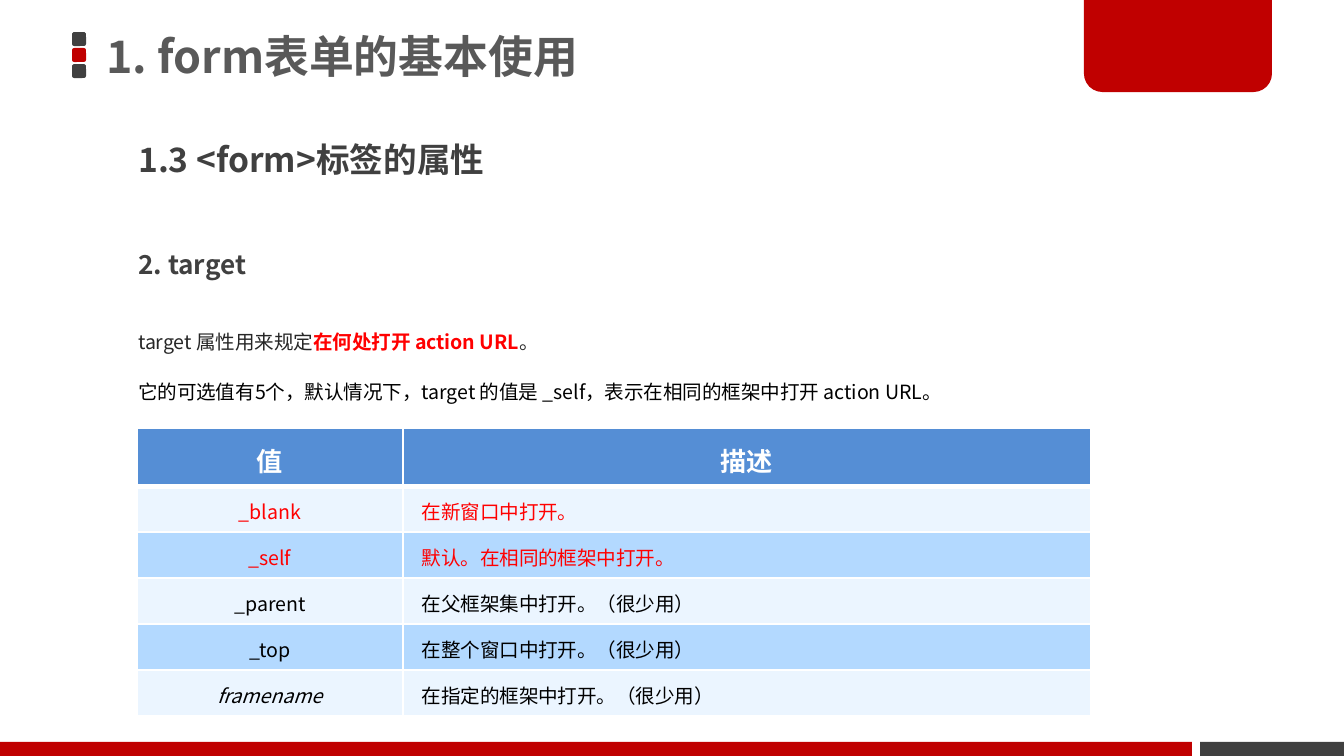
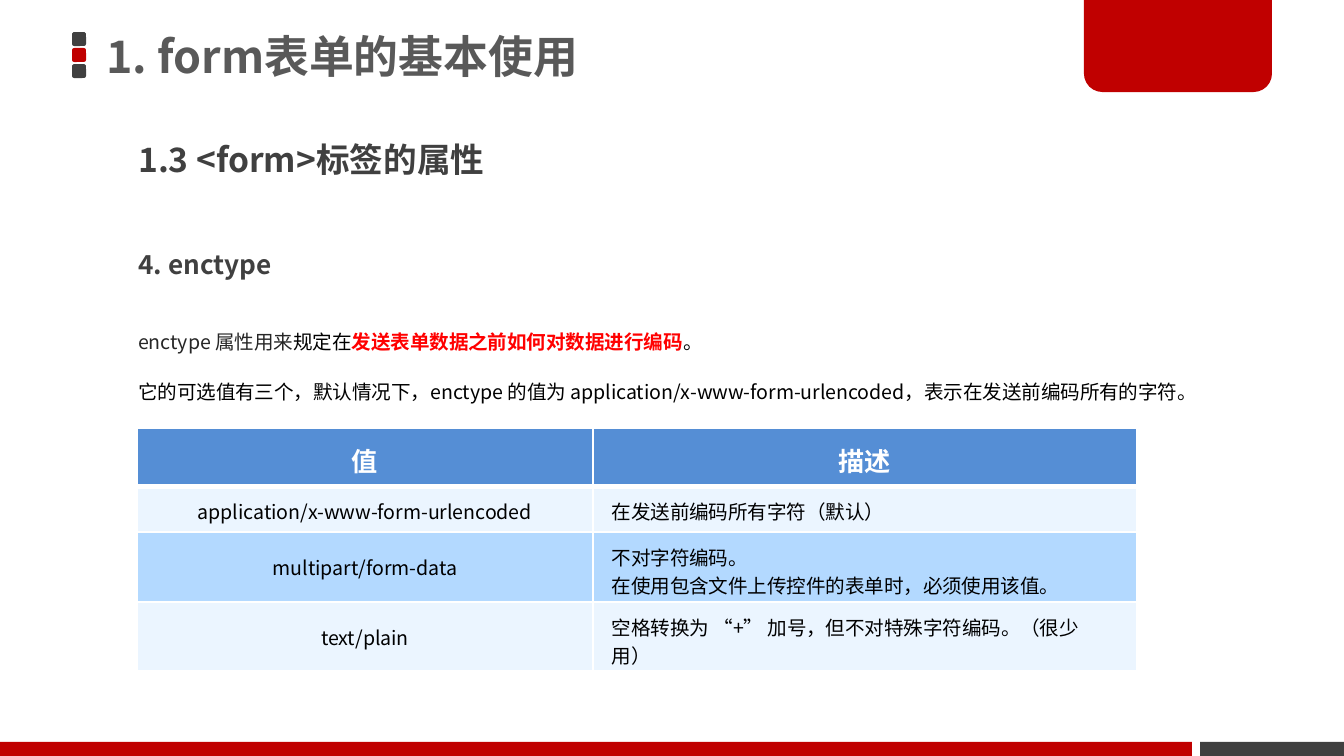
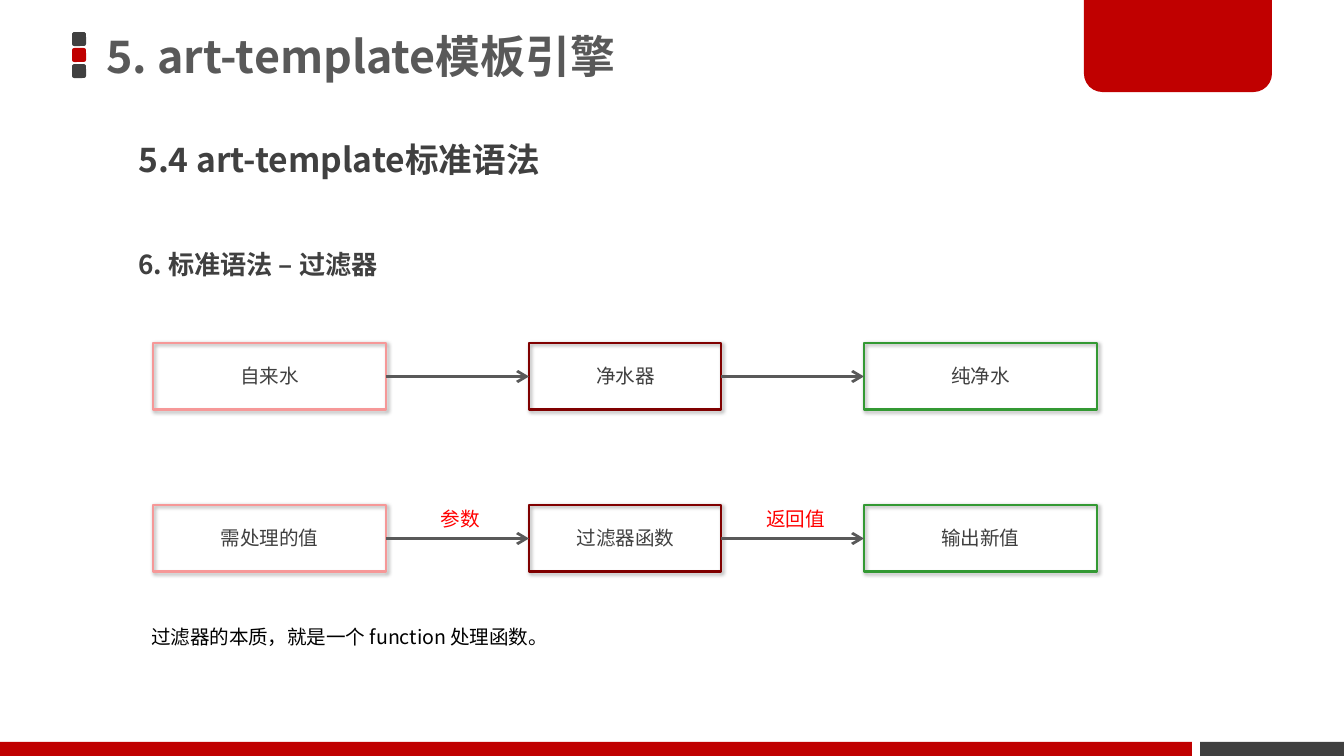
from dataclasses import dataclass
from typing import Any

from lxml import etree
from pptx import Presentation
from pptx import util as u
from pptx.dml.color import RGBColor
from pptx.enum import shapes, text
from pptx.oxml.ns import qn

SLIDE_WIDTH, SLIDE_HEIGHT = 1344, 756
EMU_PER_PX = u.Inches(10) / SLIDE_WIDTH
FONT = "Noto Sans CJK SC"
BODY_SIZE = 10.5
COLORS = {
    "brand": "C00000", "dark": "404040", "title": "595959", "body": "262626",
    "black": "000000", "white": "FFFFFF", "accent": "FF0000",
    "header": "558ED5", "light_row": "EBF5FF", "dark_row": "B3D9FF",
    "input": "F69898", "filter": "800000", "output": "339933",
}


@dataclass(frozen=True)
class Box:
    left: int
    top: int
    width: int
    height: int

    def emu(self) -> list[u.Emu]:
        return [px(side) for side in (self.left, self.top, self.width, self.height)]


@dataclass(frozen=True)
class Style:
    size: float = BODY_SIZE
    color: str = "black"
    bold: bool = False
    italic: bool = False


@dataclass(frozen=True)
class Span:
    words: str
    style: Style = Style()


@dataclass(frozen=True)
class TableRow:
    value: str
    description: str
    color: str = "black"
    italic: bool = False
    height: int = 46


@dataclass(frozen=True)
class FlowStep:
    left: int
    width: int
    color: str


TITLE = Style(24, "title", True)
SECTION = Style(18, "dark", True)
TOPIC = Style(14, "dark", True)
TABLE_HEADER = Style(14, "white", True)
INTRO = Style(color="body")
KEY = Style(color="accent", bold=True)

FLOW_STEPS = [
    FlowStep(153, 233, "input"),
    FlowStep(529, 192, "filter"),
    FlowStep(864, 233, "output"),
]
FLOW_HEIGHT = 67


def px(length: float) -> u.Emu:
    return u.Emu(round(length * EMU_PER_PX))


def rgb(name: str) -> RGBColor:
    return RGBColor.from_string(COLORS[name])


def format_run(run: Any, style: Style) -> None:
    font = run.font
    font.name, font.size = FONT, u.Pt(style.size)
    font.bold, font.italic = style.bold, style.italic
    font.color.rgb = rgb(style.color)
    east_asian = etree.SubElement(run.font._element, qn("a:ea"))
    east_asian.set("typeface", FONT)


def format_frame(frame: Any, style: Style) -> None:
    for paragraph in frame.paragraphs:
        for run in paragraph.runs:
            format_run(run, style)


def add_block(slide: Any, box: Box, paragraphs: list[list[Span]],
              line_spacing: float, space_before: float = 7.5) -> Any:
    frame = slide.shapes.add_textbox(*box.emu()).text_frame
    frame.word_wrap = True
    for index, spans in enumerate(paragraphs):
        paragraph = frame.add_paragraph() if index else frame.paragraphs[0]
        paragraph.line_spacing = line_spacing
        paragraph.space_before = u.Pt(space_before)
        for span in spans:
            run = paragraph.add_run()
            run.text = span.words
            format_run(run, span.style)
    return frame


def add_label(slide: Any, words: str, center_x: int, center_y: int, color: str) -> None:
    width, height = 27 + 20 * len(words), 38
    box = Box(center_x - width // 2, center_y - height // 2, width, height)
    frame = slide.shapes.add_textbox(*box.emu()).text_frame
    frame.text = words
    frame.word_wrap = False
    frame.auto_size = text.MSO_AUTO_SIZE.SHAPE_TO_FIT_TEXT
    frame.paragraphs[0].alignment = text.PP_ALIGN.CENTER
    format_frame(frame, Style(color=color))


def add_solid(slide: Any, kind: shapes.MSO_SHAPE, box: Box, color: str) -> Any:
    shape = slide.shapes.add_shape(kind, *box.emu())
    shape.shadow.inherit = False
    shape.fill.solid()
    shape.fill.fore_color.rgb = rgb(color)
    shape.line.fill.background()
    return shape


def add_slide(presentation: Any, title: str, section: str, topic: str) -> Any:
    slide = presentation.slides.add_slide(presentation.slide_layouts[6])
    # Title marker
    for index, color in enumerate(("dark", "brand", "dark")):
        add_solid(slide, shapes.MSO_SHAPE.ROUNDED_RECTANGLE,
                  Box(72, 32 + 16 * index, 14, 14), color)
    # Footer bands
    for left, right, color in ((1200, SLIDE_WIDTH, "dark"), (0, 1192, "brand")):
        add_solid(slide, shapes.MSO_SHAPE.RECTANGLE,
                  Box(left, 742, right - left, SLIDE_HEIGHT - 742), color)
    # Corner tab, rounded at the bottom only
    tab = add_solid(slide, shapes.MSO_SHAPE.ROUND_2_SAME_RECTANGLE,
                    Box(1084, 0, 188, 92), "brand")
    tab.adjustments[0], tab.adjustments[1] = 0, 0.2
    # Headings
    heading = add_block(slide, Box(93, 0, 990, 117), [[Span(title, TITLE)]], 0.9, 0)
    heading.vertical_anchor = text.MSO_ANCHOR.MIDDLE
    add_block(slide, Box(125, 137, 958, 79), [[Span(section, SECTION)]], 0.9)
    add_block(slide, Box(125, 245, 954, 42), [[Span(topic, TOPIC)]], 0.9)
    return slide


def set_borders(cell: Any, top: int, bottom: int) -> None:
    properties = cell._tc.get_or_add_tcPr()
    for side, points in (("L", 1), ("R", 1), ("T", top), ("B", bottom)):
        line = etree.SubElement(properties, qn(f"a:ln{side}"), w=str(u.Pt(points)))
        fill = etree.SubElement(line, qn("a:solidFill"))
        etree.SubElement(fill, qn("a:srgbClr"), val=COLORS["white"])


def fill_cell(cell: Any, words: str, style: Style, fill: str, centered: bool) -> None:
    cell.text_frame.text = words
    format_frame(cell.text_frame, style)
    for paragraph in cell.text_frame.paragraphs:
        paragraph.alignment = text.PP_ALIGN.CENTER if centered else text.PP_ALIGN.LEFT
    cell.fill.solid()
    cell.fill.fore_color.rgb = rgb(fill)


def add_value_table(slide: Any, column_widths: tuple[int, int], rows: list[TableRow]) -> None:
    heights = [52] + [row.height for row in rows]
    box = Box(137, 428, sum(column_widths), sum(heights))
    table = slide.shapes.add_table(len(heights), 2, *box.emu()).table
    table.horz_banding = False
    for column, width in zip(table.columns, column_widths):
        column.width = px(width)
    for table_row, height in zip(table.rows, heights):
        table_row.height = px(height)
    # Header row
    for column, words in enumerate(("值", "描述")):
        cell = table.cell(0, column)
        set_borders(cell, 1, 3)
        fill_cell(cell, words, TABLE_HEADER, "header", True)
        cell.text_frame.paragraphs[0].line_spacing = u.Pt(24)
    # Value rows
    for index, row in enumerate(rows, 1):
        fill = "light_row" if index % 2 else "dark_row"
        for column, words in enumerate((row.value, row.description)):
            cell = table.cell(index, column)
            set_borders(cell, 3 if index == 1 else 1, 1)
            is_value = column == 0
            style = Style(color=row.color, italic=row.italic and is_value)
            fill_cell(cell, words, style, fill, is_value)
            cell.vertical_anchor = text.MSO_ANCHOR.MIDDLE
            cell.margin_left = cell.margin_right = u.Inches(0.14)
            cell.margin_top = cell.margin_bottom = u.Inches(0.08)


def add_flow_box(slide: Any, step: FlowStep, top: int, words: str) -> Any:
    box = Box(step.left, top, step.width, FLOW_HEIGHT)
    shape = slide.shapes.add_shape(shapes.MSO_SHAPE.RECTANGLE, *box.emu())
    shape.fill.background()
    shape.line.color.rgb = rgb(step.color)
    shape.line.width = u.Pt(1.5)
    # Soft shadow towards the lower right
    shape.shadow.inherit = False
    effects = shape.element.spPr.find(qn("a:effectLst"))
    shadow = etree.SubElement(effects, qn("a:outerShdw"), blurRad=str(u.Pt(2)),
                              dist=str(u.Pt(1)), dir="2700000", algn="tl", rotWithShape="0")
    color = etree.SubElement(shadow, qn("a:srgbClr"), val=COLORS["black"])
    etree.SubElement(color, qn("a:alpha"), val="30000")
    add_label(slide, words, step.left + step.width // 2, top + FLOW_HEIGHT // 2, "dark")
    return shape


def add_arrow(slide: Any, source: Any, target: Any) -> None:
    arrow = slide.shapes.add_connector(shapes.MSO_CONNECTOR.STRAIGHT, 0, 0, 0, 0)
    arrow.begin_connect(source, 3)
    arrow.end_connect(target, 1)
    arrow.line.color.rgb = rgb("title")
    arrow.line.width = u.Pt(1.5)
    properties = arrow.element.spPr
    etree.SubElement(properties.find(qn("a:ln")), qn("a:tailEnd"), type="arrow")
    etree.SubElement(properties, qn("a:effectLst"))


def add_flow(slide: Any, top: int, names: list[str], arrow_labels: list[str]) -> None:
    boxes = [add_flow_box(slide, step, top, name) for step, name in zip(FLOW_STEPS, names)]
    for source, target in zip(boxes, boxes[1:]):
        add_arrow(slide, source, target)
    for step, following, words in zip(FLOW_STEPS, FLOW_STEPS[1:], arrow_labels):
        center = (step.left + step.width + following.left) // 2 + 3
        add_label(slide, words, center, top + 14, "accent")


def build_target_slide(presentation: Any) -> None:
    slide = add_slide(presentation, "1. form表单的基本使用", "1.3 <form>标签的属性", "2. target")
    add_block(slide, Box(125, 312, 1068, 423), [
        [Span("target 属性用来规定", INTRO), Span("在何处打开 action URL", KEY), Span("。", INTRO)],
        [Span("它的可选值有5个，默认情况下，target 的值是 _self，表示在相同的框架中打开 action URL。")],
    ], 1.5)
    add_value_table(slide, (266, 688), [
        TableRow("_blank", "在新窗口中打开。", "accent"),
        TableRow("_self", "默认。在相同的框架中打开。", "accent"),
        TableRow("_parent", "在父框架集中打开。（很少用）"),
        TableRow("_top", "在整个窗口中打开。（很少用）"),
        TableRow("framename", "在指定的框架中打开。（很少用）", italic=True),
    ])


def build_enctype_slide(presentation: Any) -> None:
    slide = add_slide(presentation, "1. form表单的基本使用", "1.3 <form>标签的属性", "4. enctype")
    add_block(slide, Box(125, 312, 1105, 423), [
        [Span("enctype 属性用来", INTRO), Span("规定在"),
         Span("发送表单数据之前如何对数据进行编码", KEY), Span("。")],
        [Span("它的可选值有三个，默认情况下，enctype 的值为 application/x-www-form-urlencoded，"
              "表示在发送前编码所有的字符。")],
    ], 1.5)
    add_value_table(slide, (456, 544), [
        TableRow("application/x-www-form-urlencoded", "在发送前编码所有字符（默认）"),
        TableRow("multipart/form-data",
                 "不对字符编码。\n在使用包含文件上传控件的表单时，必须使用该值。", height=70),
        TableRow("text/plain", "空格转换为 “+” 加号，但不对特殊字符编码。（很少用）"),
    ])


def build_filter_slide(presentation: Any) -> None:
    slide = add_slide(presentation, "5. art-template模板引擎", "5.4 art-template标准语法",
                      "6. 标准语法 – 过滤器")
    add_flow(slide, 343, ["自来水", "净水器", "纯净水"], [])
    add_flow(slide, 505, ["需处理的值", "过滤器函数", "输出新值"], ["参数", "返回值"])
    add_block(slide, Box(138, 607, 958, 99),
              [[Span("过滤器的本质，就是一个 function 处理函数。")]], 1.5)


def main() -> None:
    presentation = Presentation()
    presentation.slide_width, presentation.slide_height = px(SLIDE_WIDTH), px(SLIDE_HEIGHT)
    build_target_slide(presentation)
    build_enctype_slide(presentation)
    build_filter_slide(presentation)
    presentation.save("out.pptx")


if __name__ == "__main__":
    main()
